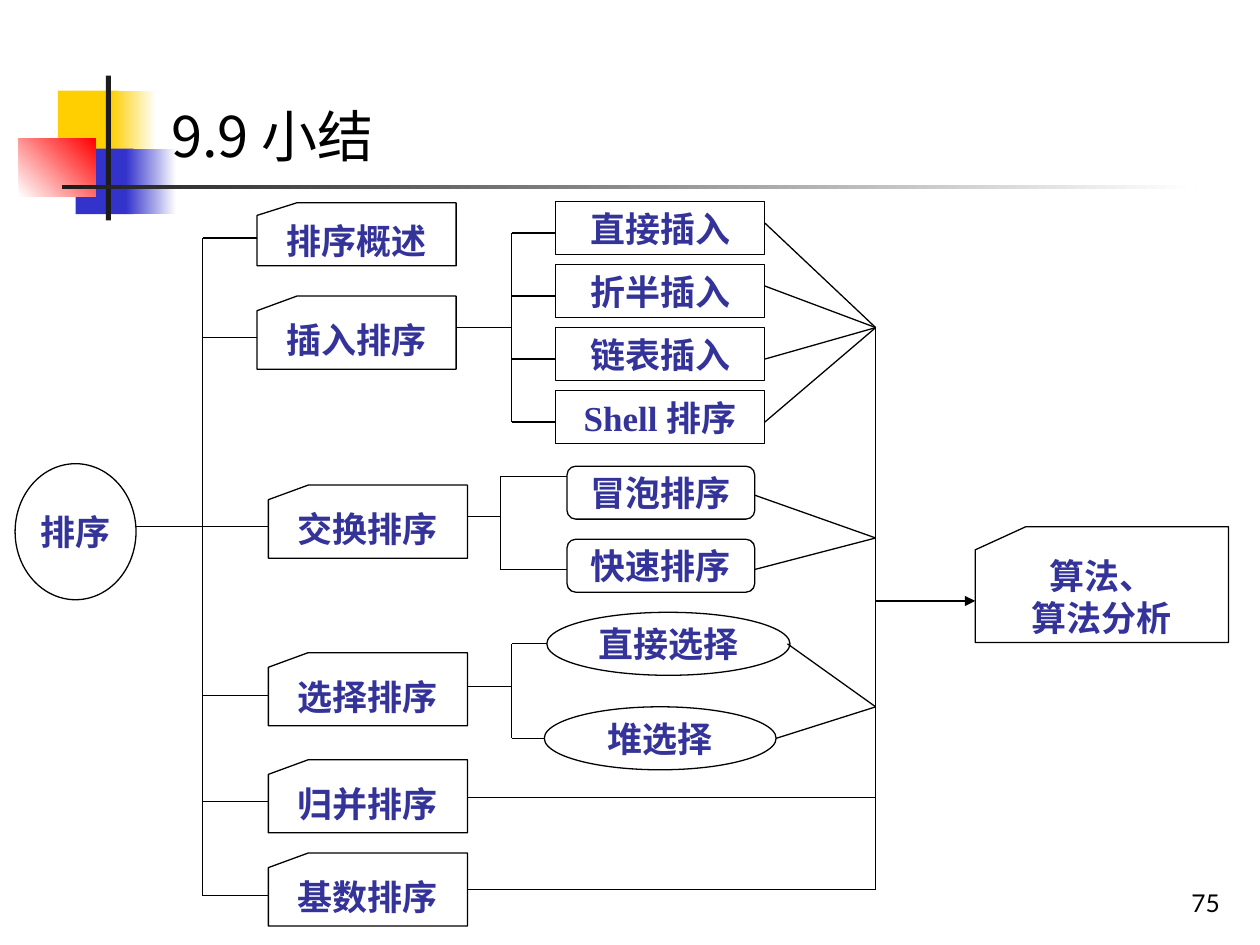
from dataclasses import dataclass
from typing import NamedTuple, Optional

import pptx
import pptx.dml.color
import pptx.enum.shapes
import pptx.enum.text
import pptx.oxml.ns
import pptx.util
from lxml import etree

SHAPES = pptx.enum.shapes.MSO_SHAPE
ALIGN = pptx.enum.text.PP_ALIGN
ANCHOR = pptx.enum.text.MSO_ANCHOR
qn = pptx.oxml.ns.qn


@dataclass(frozen=True)
class Theme:
    ink: str = "000000"
    label: str = "333399"
    paper: str = "FFFFFF"
    yellow: str = "FFCF01"
    blue: str = "3333CC"
    red: str = "FF0000"
    bar: str = "1C1C1C"
    title_size: float = 32
    label_size: float = 20
    number_size: float = 14
    line_width: float = 0.75
    label_font: str = "Times New Roman"
    title_font: str = "Noto Sans CJK JP"
    number_font: str = "Lato"


class Area(NamedTuple):
    col: float
    row: float
    cols: float
    rows: float


class Point(NamedTuple):
    col: float
    row: float


class Leaf(NamedTuple):
    label: str
    outline: SHAPES
    area: Area
    entry_row: float
    exit: Point


class Fork(NamedTuple):
    col: float
    row: float
    merge_row: float
    leaves: list[Leaf]


class Branch(NamedTuple):
    label: str
    area: Area
    entry_row: float
    fork: Optional[Fork] = None
    exit_row: Optional[float] = None


class Decoration(NamedTuple):
    area: Area
    start: str
    end: Optional[str] = None
    angle: float = 0


THEME = Theme()
COLUMNS, ROWS = 10, 7.5
TRUNK_COL, ROOT_ROW, COLLECTOR_COL = 1.61, 4.18, 6.95

prs = pptx.Presentation()
prs.slide_width, prs.slide_height = pptx.util.Inches(10), pptx.util.Inches(7.5)
slide = prs.slides.add_slide(prs.slide_layouts[6])


def x(cols: float) -> int:
    return round(prs.slide_width * cols / COLUMNS)


def y(rows: float) -> int:
    return round(prs.slide_height * rows / ROWS)


def place(area: Area) -> tuple[int, int, int, int]:
    return x(area.col), y(area.row), x(area.cols), y(area.rows)


def rgb(value: str) -> pptx.dml.color.RGBColor:
    return pptx.dml.color.RGBColor.from_string(value)


def write(frame, lines: list[str], size: float, font: str, color: str, align, bold: bool = False) -> None:
    for index, line in enumerate(lines):
        paragraph = frame.add_paragraph() if index else frame.paragraphs[0]
        paragraph.alignment = align
        run = paragraph.add_run()
        run.text = line
        run.font.size = pptx.util.Pt(size)
        run.font.name = font
        run.font.bold = bold
        run.font.color.rgb = rgb(color)
        east_asian = etree.SubElement(run.font._element, qn("a:ea"))
        east_asian.set("typeface", THEME.title_font)


def add_decoration(part: Decoration) -> None:
    block = slide.shapes.add_shape(SHAPES.RECTANGLE, *place(part.area))
    block.shadow.inherit = False
    block.line.fill.background()
    if part.end is None:
        block.fill.solid()
        block.fill.fore_color.rgb = rgb(part.start)
        return
    block.fill.gradient()
    block.fill.gradient_angle = part.angle
    for stop, color in zip(block.fill.gradient_stops, (part.start, part.end)):
        stop.color.rgb = rgb(color)


def add_node(outline: SHAPES, area: Area, *lines: str) -> None:
    node = slide.shapes.add_shape(outline, *place(area))
    node.shadow.inherit = False
    node.fill.background()
    node.line.color.rgb = rgb(THEME.ink)
    node.line.width = pptx.util.Pt(THEME.line_width)
    node.text_frame.word_wrap = False
    node.text_frame.vertical_anchor = ANCHOR.MIDDLE
    write(node.text_frame, list(lines), THEME.label_size, THEME.label_font, THEME.label, ALIGN.CENTER, True)


def add_link(start: Point, end: Point, arrow: bool = False) -> None:
    link = slide.shapes.add_connector(
        pptx.enum.shapes.MSO_CONNECTOR.STRAIGHT, x(start.col), y(start.row), x(end.col), y(end.row))
    link.line.color.rgb = rgb(THEME.ink)
    link.line.width = pptx.util.Pt(THEME.line_width)
    if arrow:
        etree.SubElement(link.line._get_or_add_ln(), qn("a:tailEnd")).set("type", "triangle")
    etree.SubElement(link._element.spPr, qn("a:effectLst"))


def add_text(area: Area, text: str, size: float, font: str, align, anchor) -> None:
    box = slide.shapes.add_textbox(*place(area))
    box.text_frame.word_wrap = True
    box.text_frame.vertical_anchor = anchor
    write(box.text_frame, [text], size, font, THEME.ink, align)


def add_fork(branch_right: float, fork: Fork) -> None:
    """Link a branch to its leaves, and the leaves to the collector."""
    entries = [leaf.entry_row for leaf in fork.leaves]
    add_link(Point(branch_right, fork.row), Point(fork.col, fork.row))
    add_link(Point(fork.col, min(entries)), Point(fork.col, max(entries)))
    for leaf in fork.leaves:
        add_node(leaf.outline, leaf.area, leaf.label)
        add_link(Point(fork.col, leaf.entry_row), Point(leaf.area.col, leaf.entry_row))
        add_link(leaf.exit, Point(COLLECTOR_COL, fork.merge_row))


def add_branch(branch: Branch) -> None:
    right = branch.area.col + branch.area.cols
    add_node(SHAPES.FLOWCHART_CARD, branch.area, branch.label)
    add_link(Point(TRUNK_COL, branch.entry_row), Point(branch.area.col, branch.entry_row))
    if branch.fork:
        add_fork(right, branch.fork)
    if branch.exit_row is not None:
        add_link(Point(right, branch.exit_row), Point(COLLECTOR_COL, branch.exit_row))


DECORATIONS = [
    Decoration(Area(0.46, 0.72, 0.48, 0.52), THEME.yellow),
    Decoration(Area(0.88, 0.72, 0.36, 0.52), THEME.yellow, THEME.paper),
    Decoration(Area(0.6, 1.18, 0.46, 0.52), THEME.blue),
    Decoration(Area(1, 1.18, 0.4, 0.52), THEME.blue, THEME.paper),
    Decoration(Area(0.15, 1.1, 0.61, 0.46), THEME.paper, THEME.red, 45),
    Decoration(Area(0.84, 0.6, 0.04, 1.15), THEME.bar),
    Decoration(Area(0.49, 1.47, 9, 0.03), THEME.bar, THEME.paper),
]
INSERTIONS = [
    Leaf(label, SHAPES.RECTANGLE, Area(4.41, 1.6 + i / 2, 1.66, 0.42), 1.85 + i / 2, Point(6.07, exit_row))
    for i, (label, exit_row) in enumerate(
        [("直接插入", 1.77), ("折半插入", 2.27), ("链表插入", 2.85), ("Shell 排序", 3.35)])
]
EXCHANGES = [
    Leaf("冒泡排序", SHAPES.ROUNDED_RECTANGLE, Area(4.5, 3.7, 1.49, 0.42), 3.78, Point(5.99, 3.93)),
    Leaf("快速排序", SHAPES.ROUNDED_RECTANGLE, Area(4.5, 4.28, 1.49, 0.42), 4.52, Point(5.99, 4.52)),
]
SELECTIONS = [
    Leaf("直接选择", SHAPES.OVAL, Area(4.34, 4.86, 1.93, 0.5), 5.11, Point(6.25, 5.11)),
    Leaf("堆选择", SHAPES.OVAL, Area(4.32, 5.61, 1.84, 0.5), 5.86, Point(6.16, 5.86)),
]
BRANCHES = [
    Branch("排序概述", Area(2.04, 1.61, 1.58, 0.5), 1.89),
    Branch("插入排序", Area(2.04, 2.35, 1.58, 0.58), 2.68, Fork(4.06, 2.6, 2.6, INSERTIONS)),
    Branch("交换排序", Area(2.13, 3.85, 1.58, 0.58), ROOT_ROW, Fork(3.97, 4.1, 4.27, EXCHANGES)),
    Branch("选择排序", Area(2.13, 5.18, 1.58, 0.58), 5.52, Fork(4.06, 5.45, 5.61, SELECTIONS)),
    Branch("归并排序", Area(2.13, 6.03, 1.58, 0.58), 6.36, exit_row=6.33),
    Branch("基数排序", Area(2.13, 6.77, 1.58, 0.58), 7.11, exit_row=7.06),
]

for decoration in DECORATIONS:
    add_decoration(decoration)
add_text(Area(1.26, 0.76, 8.74, 0.64), "9.9 小结", THEME.title_size, THEME.title_font, ALIGN.LEFT, ANCHOR.TOP)
add_text(Area(7.7, 6.83, 2.08, 0.5), "75", THEME.number_size, THEME.number_font, ALIGN.RIGHT, ANCHOR.BOTTOM)

add_node(SHAPES.OVAL, Area(0.12, 3.68, 0.96, 1.08), "排序")
add_link(Point(1.08, ROOT_ROW), Point(TRUNK_COL, ROOT_ROW))
add_link(Point(TRUNK_COL, BRANCHES[0].entry_row), Point(TRUNK_COL, BRANCHES[-1].entry_row))
for topic in BRANCHES:
    add_branch(topic)
add_link(Point(COLLECTOR_COL, 2.6), Point(COLLECTOR_COL, 7.06))
add_link(Point(COLLECTOR_COL, 4.77), Point(7.74, 4.77), arrow=True)
add_node(SHAPES.FLOWCHART_CARD, Area(7.74, 4.18, 2.01, 0.92), "算法、", "算法分析")

prs.save("out.pptx")
